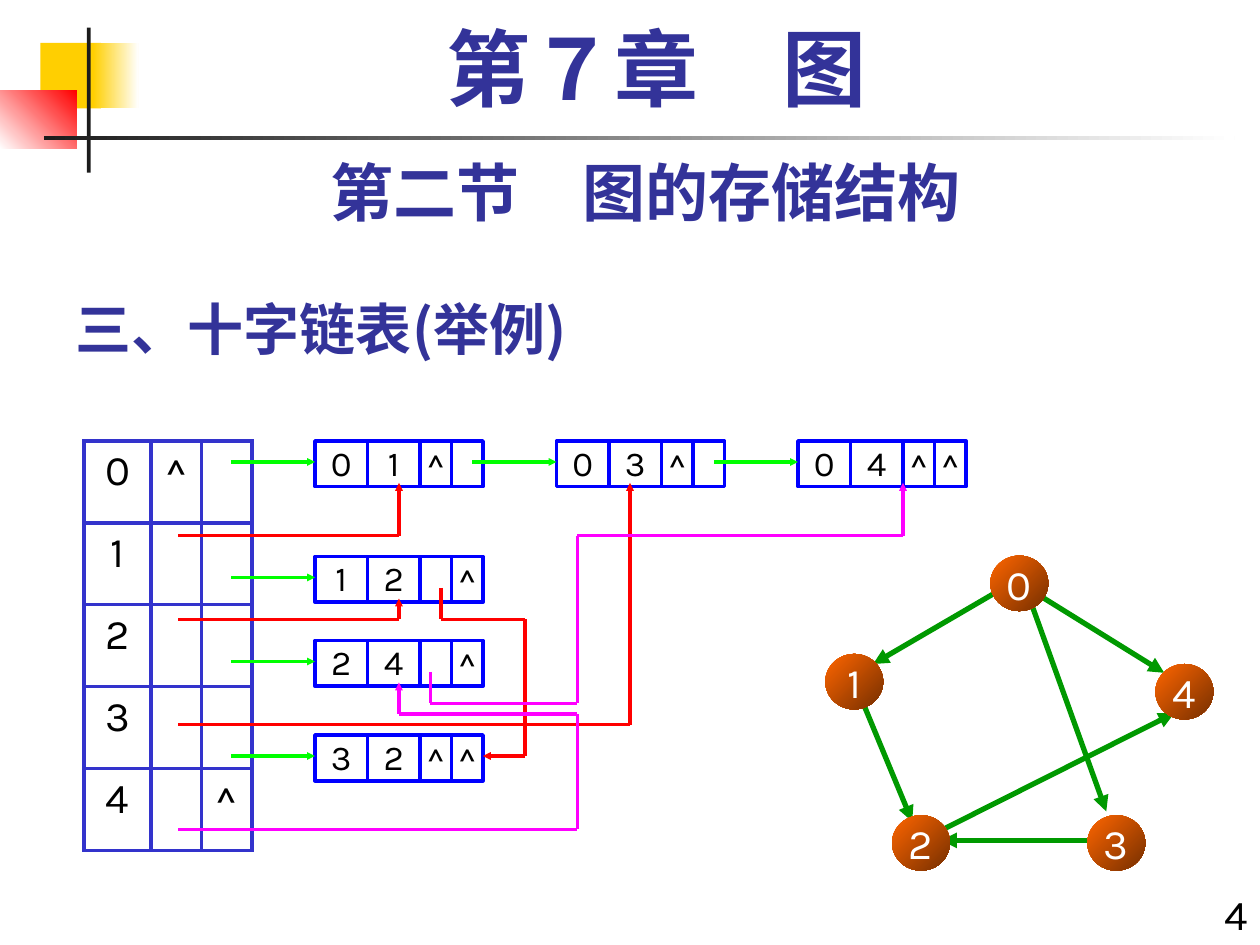
import dataclasses
import itertools

import pptx
import pptx.dml.color
import pptx.enum.shapes
import pptx.enum.text
import pptx.oxml.ns
import pptx.util
from lxml import etree

SHAPE = pptx.enum.shapes.MSO_SHAPE
ALIGN = pptx.enum.text.PP_ALIGN
ANCHOR = pptx.enum.text.MSO_ANCHOR
qn = pptx.oxml.ns.qn

LATIN, CJK = "Karla", "Noto Sans CJK SC"
NAVY, BLACK, WHITE = "333399", "000000", "FFFFFF"
GREEN, RED, MAGENTA = "00FF00", "FF0000", "FF00FF"


@dataclasses.dataclass
class Grid:
    """Square grid, with its origin and cell size in inches."""
    left: float
    top: float
    unit: float

    def size(self, n):
        return pptx.util.Inches(n * self.unit)

    def point(self, col, row):
        return (pptx.util.Inches(self.left + col * self.unit),
                pptx.util.Inches(self.top + row * self.unit))

    def box(self, col, row, cols, rows):
        return (*self.point(col, row), self.size(cols), self.size(rows))


def rgb(hex_colour):
    return pptx.dml.color.RGBColor.from_string(hex_colour)


def write(tf, text, size, colour=BLACK, align=ALIGN.CENTER, bold=False, latin=LATIN):
    p = tf.paragraphs[0]
    r = p.add_run()
    r.text = text
    p.alignment = align
    font = r.font
    font.name, font.size, font.bold = latin, pptx.util.Pt(size), bold
    font.color.rgb = rgb(colour)
    etree.SubElement(r._r.get_or_add_rPr(), qn("a:ea"), typeface=CJK)
    return p


def add_block(shapes, kind, box, colours=(), angle=0):
    """Add a shape with no fill, one colour, or a gradient at a clockwise angle."""
    sp = shapes.add_shape(kind, *box)
    sp.shadow.inherit = False
    sp.line.fill.background()
    if not colours:
        sp.fill.background()
    elif len(colours) == 1:
        sp.fill.solid()
        sp.fill.fore_color.rgb = rgb(colours[0])
    else:
        sp.fill.gradient()
        sp.fill.gradient_angle = (360 - angle) % 360
        for stop, position, colour in zip(sp.fill.gradient_stops, (0, 1), colours):
            stop.position = position
            stop.color.rgb = rgb(colour)
    return sp


def add_route(shapes, grid, points, colour, width=2.25, head="sm"):
    """Join the points with straight lines and put an arrowhead on the last."""
    for start, end in itertools.pairwise(points):
        line = shapes.add_connector(pptx.enum.shapes.MSO_CONNECTOR.STRAIGHT,
                                    *grid.point(*start), *grid.point(*end))
        line.line.width = pptx.util.Pt(width)
        line.line.color.rgb = rgb(colour)
        if end == points[-1]:
            etree.SubElement(line.line._get_or_add_ln(), qn("a:tailEnd"),
                             type="triangle", w=head, len=head)
        etree.SubElement(line._element.spPr, qn("a:effectLst"))


def add_ornament(s, grid):
    for box, colours, angle in [
        ((0.32, 0.34, 0.48, 0.52), ["FFCF01"], 0),
        ((0.74, 0.34, 0.36, 0.52), ["FFCF01", WHITE], 0),
        ((0, 0.72, 0.61, 0.46), [WHITE, RED], 315),
        ((0.69, 0.22, 0.03, 1.15), ["1C1C1C"], 0),
        ((0.35, 1.08, 9.45, 0.03), ["1C1C1C", WHITE], 0),
    ]:
        add_block(s.shapes, SHAPE.RECTANGLE, grid.box(*box), colours, angle)


def add_headings(s, grid):
    title = s.shapes.title
    title.left, title.top, title.width, title.height = grid.box(0.5, 2.17, 7.25, 0.75)
    title.text_frame.vertical_anchor = ANCHOR.BOTTOM
    write(title.text_frame, "三、十字链表(举例)", 32, NAVY, ALIGN.LEFT, True, CJK)
    for box, text, size, colour, align, bold, latin in [
        ((9.33, 7, 0.67, 0.5), "4", 24, BLACK, ALIGN.RIGHT, False, LATIN),
        ((0.5, 1.17, 9.25, 0.7), "第二节　图的存储结构", 36, NAVY, ALIGN.CENTER, True, LATIN),
        ((0.67, 0.17, 9.08, 0.83), "第７章　图", 48, NAVY, ALIGN.CENTER, True,
         "Times New Roman"),
    ]:
        tf = s.shapes.add_textbox(*grid.box(*box)).text_frame
        tf.word_wrap = True
        p = write(tf, text, size, colour, align, bold, latin)
        if size == 48:
            p.line_spacing = 0.9


def add_border(cell, colour, width):
    tcPr = cell._tc.get_or_add_tcPr()
    for i, side in enumerate(("lnL", "lnR", "lnT", "lnB")):
        ln = etree.Element(qn(f"a:{side}"), w=str(pptx.util.Pt(width)))
        fill = etree.SubElement(ln, qn("a:solidFill"))
        etree.SubElement(fill, qn("a:srgbClr"), val=colour)
        tcPr.insert(i, ln)


def add_vertex_table(s, grid):
    rows = [("0", "^", ""), ("1", "", ""), ("2", "", ""), ("3", "", ""), ("4", "", "^")]
    table = s.shapes.add_table(5, 3, *grid.box(0, 0, 16, 39)).table
    table.first_row = table.horz_banding = False
    for column, width in zip(table.columns, (6.4, 4.8, 4.8)):
        column.width = grid.size(width)
    for r, row in enumerate(rows):
        table.rows[r].height = grid.size(7.8)
        for c, text in enumerate(row):
            cell = table.cell(r, c)
            cell.fill.background()
            add_border(cell, "3333CC", 2.25)
            if text:
                write(cell.text_frame, text, 24)


def add_arc_node(s, grid, col, row, texts):
    """One record (tail, head, two links), with the arrow that leads to it."""
    group = s.shapes.add_group_shape()
    tail, head, head_link, tail_link = texts
    for offset, width, text in [(0, 5, tail), (10, 3, head_link),
                                (5, 5, head), (13, 3, tail_link)]:
        sp = add_block(group.shapes, SHAPE.RECTANGLE,
                       grid.box(col + offset, row, width, 4.36))
        sp.line.width = pptx.util.Pt(2)
        sp.line.color.rgb = rgb("0000FF")
        if text.strip():
            tf = sp.text_frame
            tf.margin_left = tf.margin_right = tf.margin_top = tf.margin_bottom = 0
            tf.auto_size = pptx.enum.text.MSO_AUTO_SIZE.SHAPE_TO_FIT_TEXT
            tf.vertical_anchor = ANCHOR.TOP
            write(tf, text, 20)
    add_route(s.shapes, grid, [(col - 8, row + 2), (col, row + 2)], GREEN)


def add_orthogonal_list(s, grid):
    add_vertex_table(s, grid)
    for col, row, texts in [
        (22, 0, "01^ "), (45, 0, "03^ "), (68, 0, "04^^"),
        (22, 11, "12 ^"), (22, 19, "24 ^"), (22, 28, "32^^"),
    ]:
        add_arc_node(s, grid, col, row, texts)
    for colour, points in [
        (RED, [(9, 9), (30, 9), (30, 4)]),
        (RED, [(9, 17), (30, 17), (30, 15)]),
        (RED, [(34, 14), (34, 17), (42, 17), (42, 30), (38, 30)]),
        (RED, [(9, 27), (52, 27), (52, 4)]),
        (MAGENTA, [(9, 37), (47, 37), (47, 26), (30, 26), (30, 23)]),
        (MAGENTA, [(33, 22), (33, 25), (47, 25), (47, 9), (78, 9), (78, 4)]),
    ]:
        add_route(s.shapes, grid, points, colour)


def add_graph(s, grid):
    shapes = s.shapes.add_group_shape().shapes
    for edge in [
        [(16.9, 3.1), (26.9, 9.3)], [(3, 11.7), (6.9, 21.1)],
        [(14.6, 2.3), (3.8, 8.6)], [(16.1, 3.1), (22.3, 20.3)],
        [(20.8, 22.6), (9.2, 22.6)], [(9.2, 21.8), (27.7, 12.5)],
    ]:
        add_route(shapes, grid, edge, "009900", 3, "med")
    vertices = [(13.1, 0), (0, 7.8), (5.3, 20.6), (20.8, 20.6), (26.2, 8.6)]
    for number, (col, row) in enumerate(vertices):
        sp = add_block(shapes, SHAPE.OVAL, grid.box(col, row, 4.6, 4.4),
                       ["FF6600", "762F00"], 45)
        tf = sp.text_frame
        tf.margin_left = tf.margin_right = 0
        tf.word_wrap = False
        tf.vertical_anchor = ANCHOR.MIDDLE
        write(tf, str(number), 24, WHITE)


def main():
    prs = pptx.Presentation()
    prs.slide_width, prs.slide_height = pptx.util.Inches(10), pptx.util.Inches(7.5)
    s = prs.slides.add_slide(prs.slide_layouts[5])
    page = Grid(0, 0, 1)
    add_ornament(s, page)
    add_headings(s, page)
    add_orthogonal_list(s, Grid(8 / 12, 3.5, 1 / 12))
    add_graph(s, Grid(6.55, 4.41, 0.1))
    prs.save("out.pptx")


if __name__ == "__main__":
    main()
